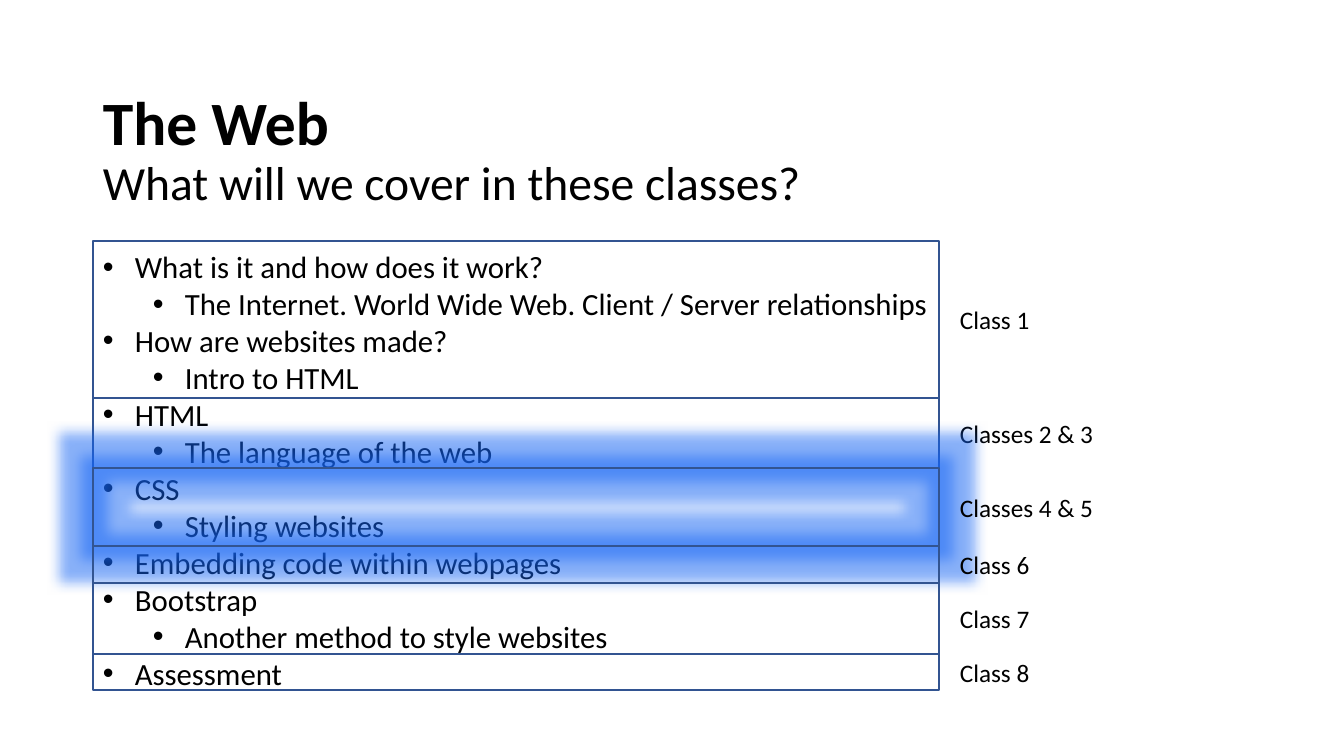
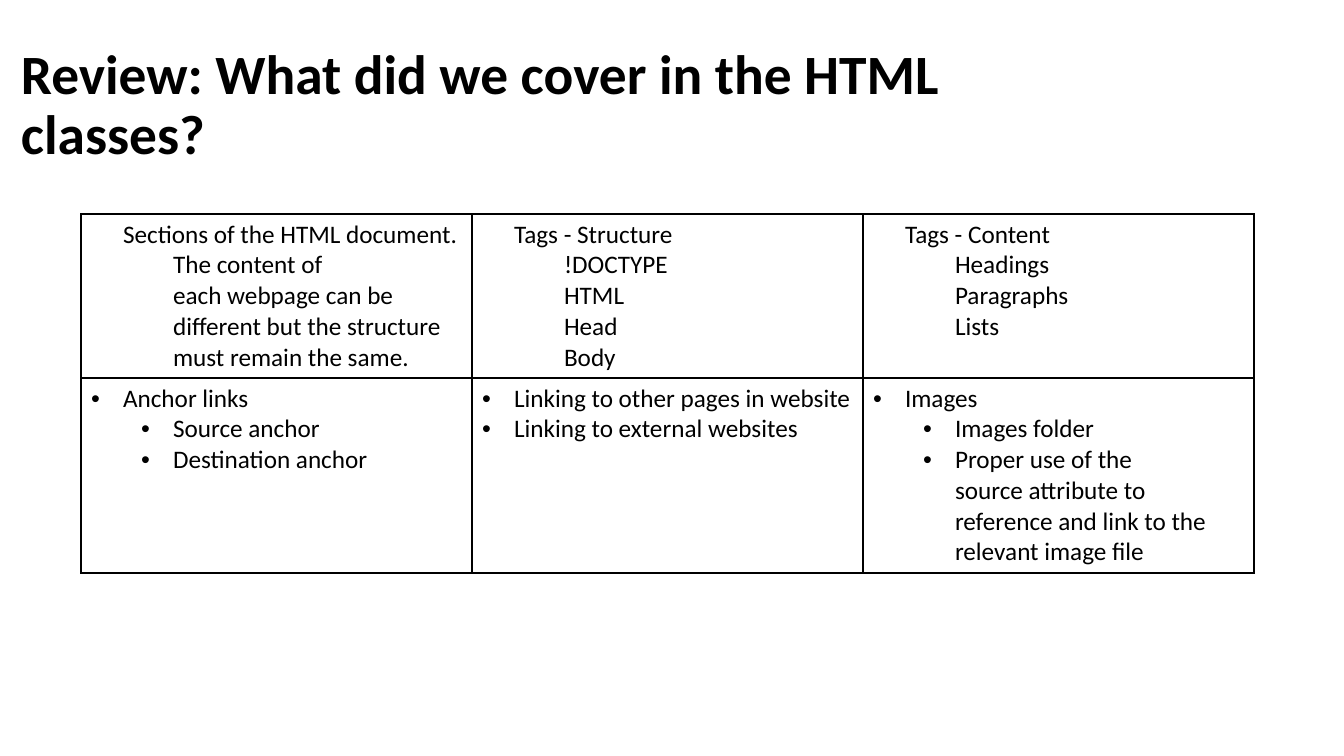
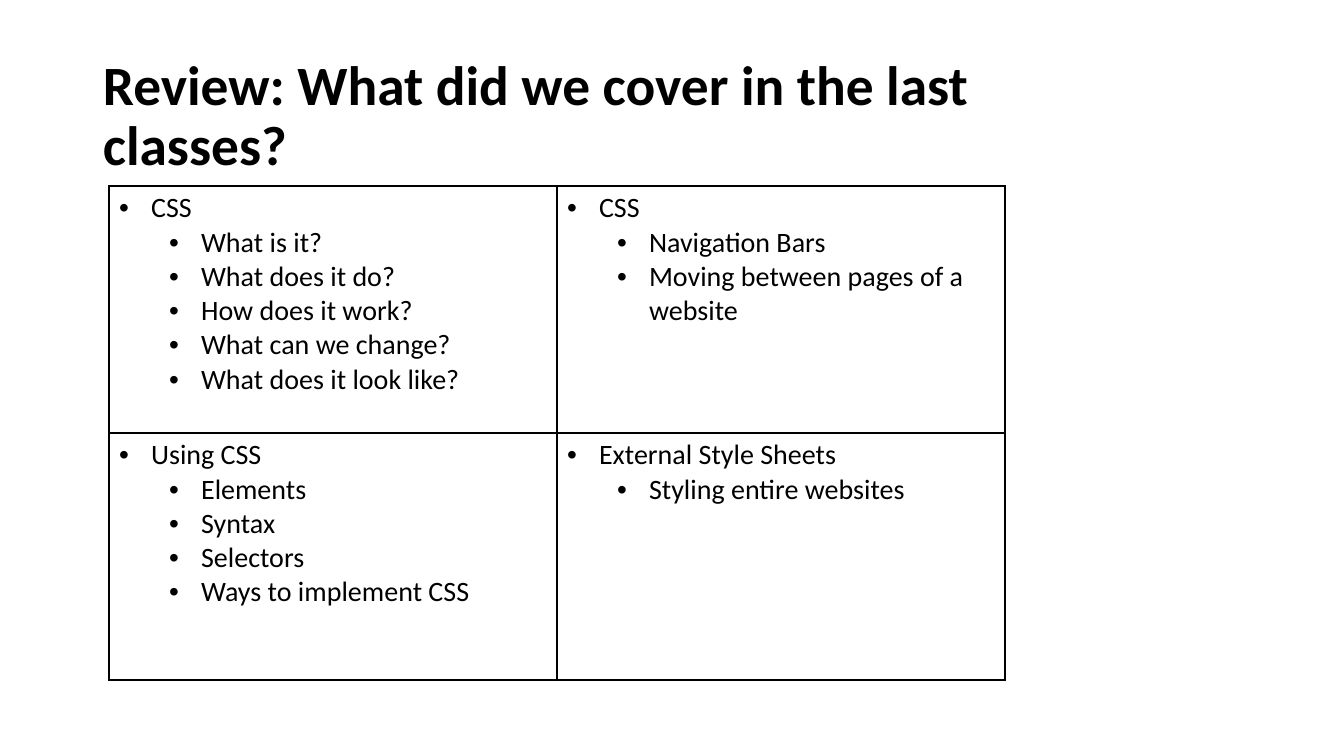
"""Builds three slides that outline and review a course on the web."""
from itertools import pairwise

from lxml.etree import SubElement
from pptx import Presentation
from pptx.dml.color import RGBColor
from pptx.enum.shapes import MSO_SHAPE as Shape
from pptx.enum.text import MSO_ANCHOR as Anchor
from pptx.oxml.ns import qn
from pptx.util import Pt

PX = 914400 / 100.8
FONT = "Calibri"
BLACK = RGBColor(0x00, 0x00, 0x00)
OUTLINE = RGBColor(0x32, 0x54, 0x91)
GLOW = RGBColor(0x14, 0x64, 0xF4)
INDENT = 32
LEVEL_STEP = 50


def px(length):
    return round(length * PX)


def write(frame, lines, size, bold=False, bullets=False, indent=0, spacing=None):
    frame.word_wrap = True
    for index, (level, text) in enumerate(lines):
        para = frame.paragraphs[0] if index == 0 else frame.add_paragraph()
        para.level = level
        para.line_spacing = spacing
        properties = para._p.get_or_add_pPr()
        properties.set("marL", str(px(indent + level * LEVEL_STEP)))
        properties.set("indent", str(px(-indent) if bullets else 0))
        if bullets:
            SubElement(properties, qn("a:buFont")).set("typeface", "Arial")
            SubElement(properties, qn("a:buChar")).set("char", "•")
        span = para.add_run()
        span.text = text
        span.font.name = FONT
        span.font.size = Pt(size)
        span.font.bold = bold
        span.font.color.rgb = BLACK


deck = Presentation()
deck.slide_width, deck.slide_height = px(1344), px(756)

titles = [
    ("The Web", 44, (93, 63, 1159, 177)),
    ("Review: What did we cover in the HTML classes?", 39.6, (11, 52, 1099, 109)),
    ("Review: What did we cover in the last classes?", 39.6, (93, 63, 1049, 109)),
]
pages = []
for title, size, place in titles:
    page = deck.slides.add_slide(deck.slide_layouts[6])
    box = page.shapes.add_textbox(*map(px, place))
    box.text_frame.vertical_anchor = Anchor.MIDDLE
    write(box.text_frame, [(0, title)], size, bold=True, spacing=0.9)
    pages.append(page)
outline_page, html_page, css_page = pages

title_para = outline_page.shapes[0].text_frame.paragraphs[0]
title_para.add_line_break()
subtitle = title_para.add_run()
subtitle.text = "What will we cover in these classes?"
subtitle.font.name = FONT
subtitle.font.size = Pt(34)
subtitle.font.color.rgb = BLACK

topics = [
    (0, "What is it and how does it work?"),
    (1, "The Internet. World Wide Web. Client / Server relationships"),
    (0, "How are websites made?"),
    (1, "Intro to HTML"),
    (0, "HTML"),
    (1, "The language of the web"),
    (0, "CSS"),
    (1, "Styling websites"),
    (0, "Embedding code within webpages"),
    (0, "Bootstrap"),
    (1, "Another method to style websites"),
    (0, "Assessment"),
]
box = outline_page.shapes.add_textbox(px(93), px(243), px(1159), px(455))
write(box.text_frame, topics, 22, bullets=True, indent=INDENT, spacing=Pt(26.4))

classes = ["Class 1", "Classes 2 & 3", "Classes 4 & 5", "Class 6", "Class 7", "Class 8"]
current_class = "Classes 4 & 5"
edges = [241, 398, 468, 546, 583, 654, 690]
for label, (top, bottom) in zip(classes, pairwise(edges)):
    frame = outline_page.shapes.add_shape(Shape.RECTANGLE, px(93), px(top), px(846), px(bottom - top))
    frame.shadow.inherit = False
    frame.fill.background()
    frame.line.color.rgb = OUTLINE
    frame.line.width = Pt(1)
    if label == current_class:
        effects = frame._element.spPr.find(qn("a:effectLst"))
        glow = SubElement(effects, qn("a:glow"), rad=str(Pt(18)))
        color = SubElement(glow, qn("a:srgbClr"), val=str(GLOW))
        SubElement(color, qn("a:alpha"), val="50000")
    box = outline_page.shapes.add_textbox(px(950), px((top + bottom) / 2 - 20), px(183), px(40))
    write(box.text_frame, [(0, label)], 18)

html_cells = [
    [
        [(0, "Sections of the HTML document."),
         (1, "The content of each\u00a0webpage can be different\u00a0but the structure must\u00a0remain the same.")],
        [(0, "Tags - Structure"), (1, "!DOCTYPE"), (1, "HTML"), (1, "Head"), (1, "Body")],
        [(0, "Tags - Content"), (1, "Headings"), (1, "Paragraphs"), (1, "Lists")],
    ],
    [
        [(0, "Anchor links"), (1, "Source anchor"), (1, "Destination anchor")],
        [(0, "Linking to other pages in website"), (0, "Linking to external websites")],
        [(0, "Images"), (1, "Images folder"),
         (1, "Proper use of the source\u00a0attribute to reference and link\u00a0to the relevant image file")],
    ],
]
css_cells = [
    [
        [(0, "CSS"), (1, "What is it?"), (1, "What does it do?"), (1, "How does it work?"),
         (1, "What can we change?"), (1, "What does it look like?")],
        [(0, "CSS"), (1, "Navigation Bars"), (1, "Moving between pages of a website")],
    ],
    [
        [(0, "Using CSS"), (1, "Elements"), (1, "Syntax"), (1, "Selectors"), (1, "Ways to implement CSS")],
        [(0, "External Style Sheets"), (1, "Styling entire websites")],
    ],
]
reviews = [
    (html_page, html_cells, (81, 214), 391, (164, 195), 18, (False, True)),
    (css_page, css_cells, (109, 186), 448, (247, 247), 20, (True, True)),
]
for page, rows, (left, top), column_width, heights, size, bulleted_rows in reviews:
    columns = len(rows[0])
    table = page.shapes.add_table(
        len(rows), columns, px(left), px(top), px(column_width * columns), px(sum(heights))
    ).table
    table.first_row = table.horz_banding = False
    for column in table.columns:
        column.width = px(column_width)
    for row_index, (cells, height, bulleted) in enumerate(zip(rows, heights, bulleted_rows)):
        table.rows[row_index].height = px(height)
        for column_index, lines in enumerate(cells):
            cell = table.cell(row_index, column_index)
            for side in ("lnL", "lnR", "lnT", "lnB"):
                border = SubElement(cell._tc.get_or_add_tcPr(), qn(f"a:{side}"), w=str(Pt(1)))
                fill = SubElement(border, qn("a:solidFill"))
                SubElement(fill, qn("a:srgbClr"), val=str(BLACK))
            cell.fill.background()
            write(cell.text_frame, lines, size, bullets=bulleted, indent=INDENT)

deck.save("out.pptx")
